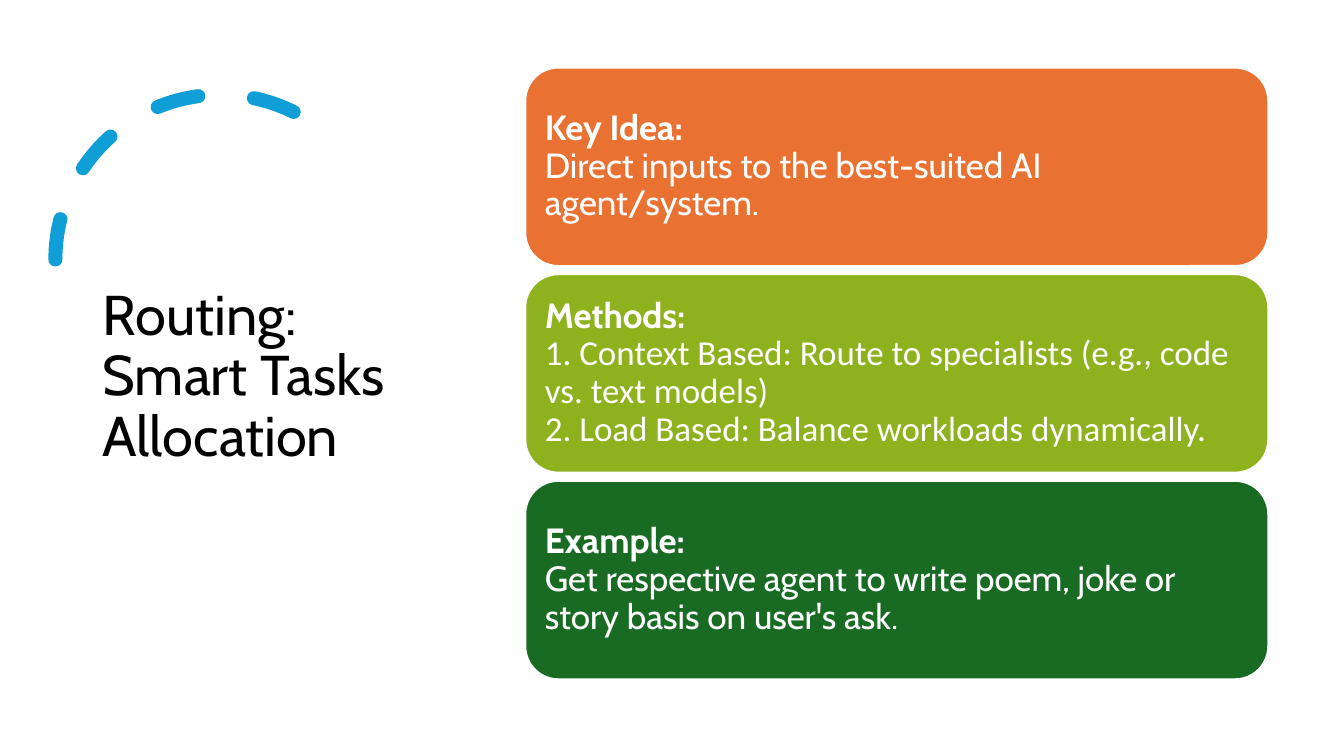
from dataclasses import dataclass

from pptx import Presentation
from pptx.dml.color import RGBColor
from pptx.enum.dml import MSO_LINE
from pptx.enum.shapes import MSO_SHAPE
from pptx.enum.text import MSO_ANCHOR, PP_ALIGN
from pptx.util import Inches, Pt

ARC = MSO_SHAPE.ARC
ROUNDED = MSO_SHAPE.ROUNDED_RECTANGLE
DASH = MSO_LINE.DASH
MIDDLE = MSO_ANCHOR.MIDDLE
LEFT = PP_ALIGN.LEFT


@dataclass(frozen=True)
class Theme:
    heading_font: str = "Cabin"
    list_font: str = "Calibri"
    title_size: int = 40
    card_size: int = 25
    black: str = "000000"
    white: str = "FFFFFF"
    blue: str = "0F9ED5"
    orange: str = "E97132"
    lime: str = "8EB21E"
    green: str = "196B24"


def add_text(paragraph, text, *, font, size, color, bold=False):
    """Append text to a paragraph, turning each newline into a line break."""
    for index, line in enumerate(text.split("\n")):
        if index:
            paragraph.add_line_break()
        if line:
            run = paragraph.add_run()
            run.text = line
            run.font.name = font
            run.font.size = Pt(size)
            run.font.bold = bold
            run.font.color.rgb = RGBColor.from_string(color)


class SlideBuilder:
    def __init__(self, slide, theme):
        self.slide = slide
        self.theme = theme

    def prepare_paragraph(self, shape):
        frame = shape.text_frame
        frame.word_wrap = True
        frame.vertical_anchor = MIDDLE
        paragraph = frame.paragraphs[0]
        paragraph.alignment = LEFT
        paragraph.line_spacing = 0.9
        return paragraph

    def add_shape(self, kind, left, top, width, height, line_color, line_width):
        shape = self.slide.shapes.add_shape(
            kind, Inches(left), Inches(top), Inches(width), Inches(height))
        shape.shadow.inherit = False
        shape.line.color.rgb = RGBColor.from_string(line_color)
        shape.line.width = Pt(line_width)
        return shape

    def dashed_arc(self, left, top, size):
        arc = self.add_shape(ARC, left, top, size, size, self.theme.blue, 10)
        arc.fill.background()
        arc.adjustments[0] = 146.13
        arc.adjustments[1] = 0
        arc.line.dash_style = DASH
        arc.line._get_or_add_ln().set("cap", "rnd")
        arc._element.spPr.get_or_add_xfrm().set("flipH", "1")

    def title(self, text, left, top, width, height):
        box = self.slide.shapes.add_textbox(
            Inches(left), Inches(top), Inches(width), Inches(height))
        add_text(self.prepare_paragraph(box), text, font=self.theme.heading_font,
                 size=self.theme.title_size, color=self.theme.black)

    def card(self, heading, body, fill, body_font, left, top, width, height):
        theme = self.theme
        card = self.add_shape(ROUNDED, left, top, width, height, theme.white, 1.5)
        card.fill.solid()
        card.fill.fore_color.rgb = RGBColor.from_string(fill)
        frame = card.text_frame
        frame.margin_left = frame.margin_right = Inches(0.1)
        frame.margin_top = frame.margin_bottom = Inches(0.1)
        paragraph = self.prepare_paragraph(card)
        add_text(paragraph, heading + "\n", font=theme.heading_font,
                 size=theme.card_size, color=theme.white, bold=True)
        add_text(paragraph, body, font=body_font,
                 size=theme.card_size, color=theme.white)


def main():
    presentation = Presentation()
    presentation.slide_width = Inches(13.33)
    presentation.slide_height = Inches(7.5)
    slide = presentation.slides.add_slide(presentation.slide_layouts[6])
    theme = Theme()
    builder = SlideBuilder(slide, theme)

    # Title with its dashed arc
    builder.dashed_arc(0.55, 0.94, 3.27)
    builder.title("Routing: Smart Tasks Allocation", 0.92, 0.7, 3.23, 6.09)

    # Stacked cards
    cards = [
        ("Key Idea: ", "Direct inputs to the best-suited AI agent/system.",
         theme.orange, theme.heading_font),
        ("Methods: ",
         "1. Context Based: Route to specialists (e.g., code vs. text models)\n"
         "2. Load Based: Balance workloads dynamically.",
         theme.lime, theme.list_font),
        ("Example:",
         "Get respective agent to write poem, joke or story basis on user's ask.",
         theme.green, theme.heading_font),
    ]
    card_top, card_pitch = 0.67, 2.05
    for index, (heading, body, fill, body_font) in enumerate(cards):
        builder.card(heading, body, fill, body_font,
                     5.21, card_top + index * card_pitch, 7.37, 1.97)

    presentation.save("out.pptx")


if __name__ == "__main__":
    main()
